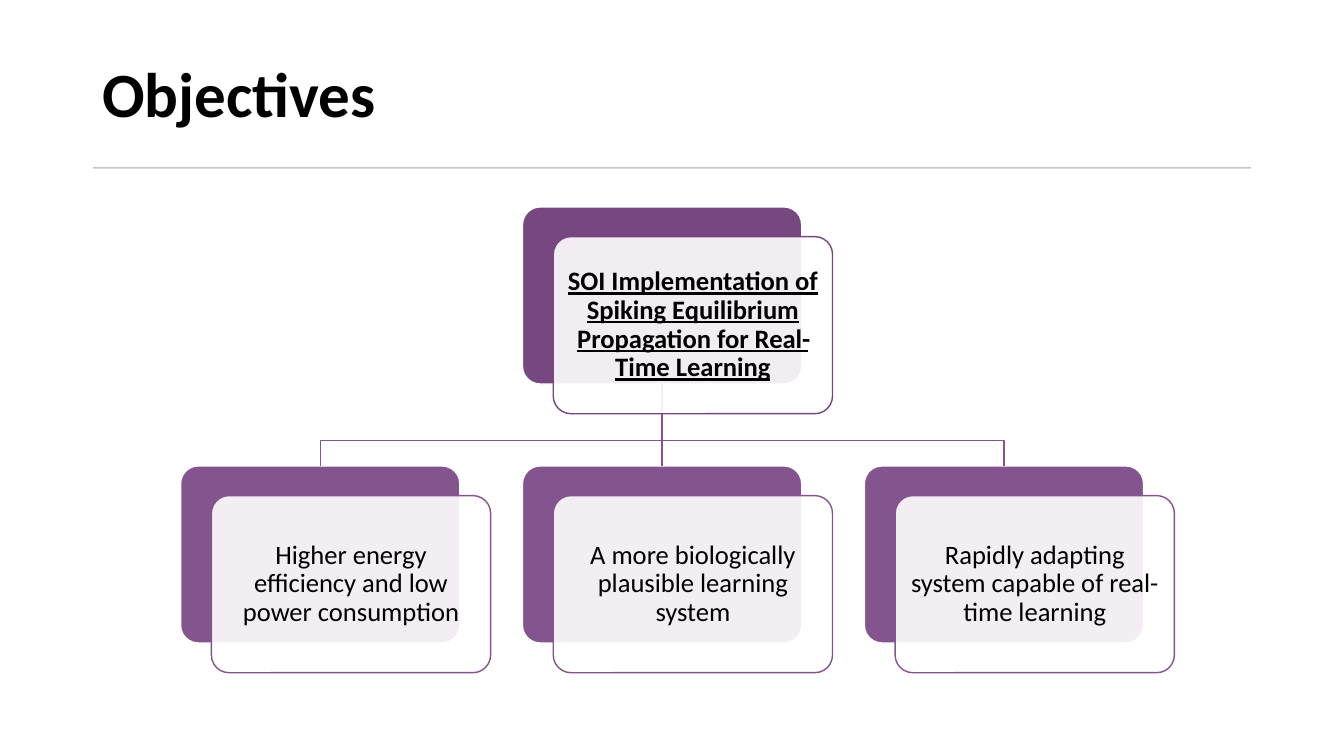
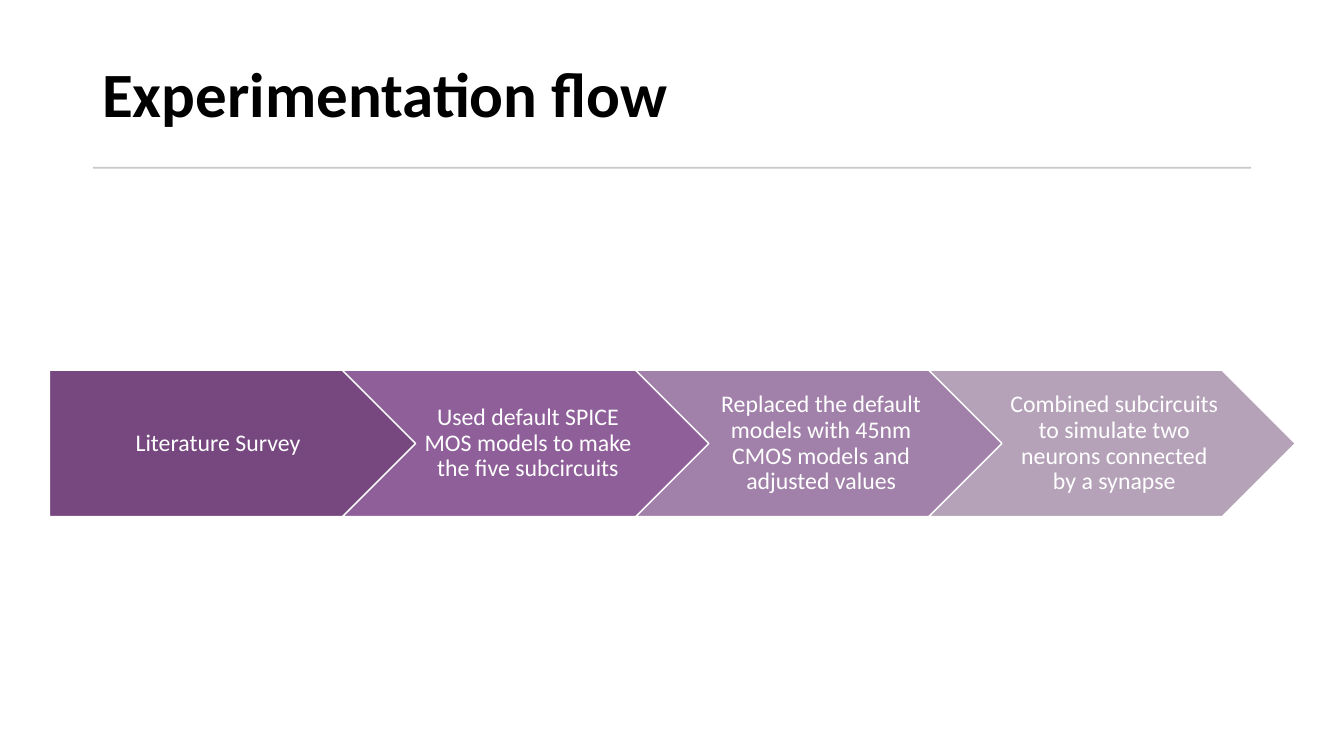
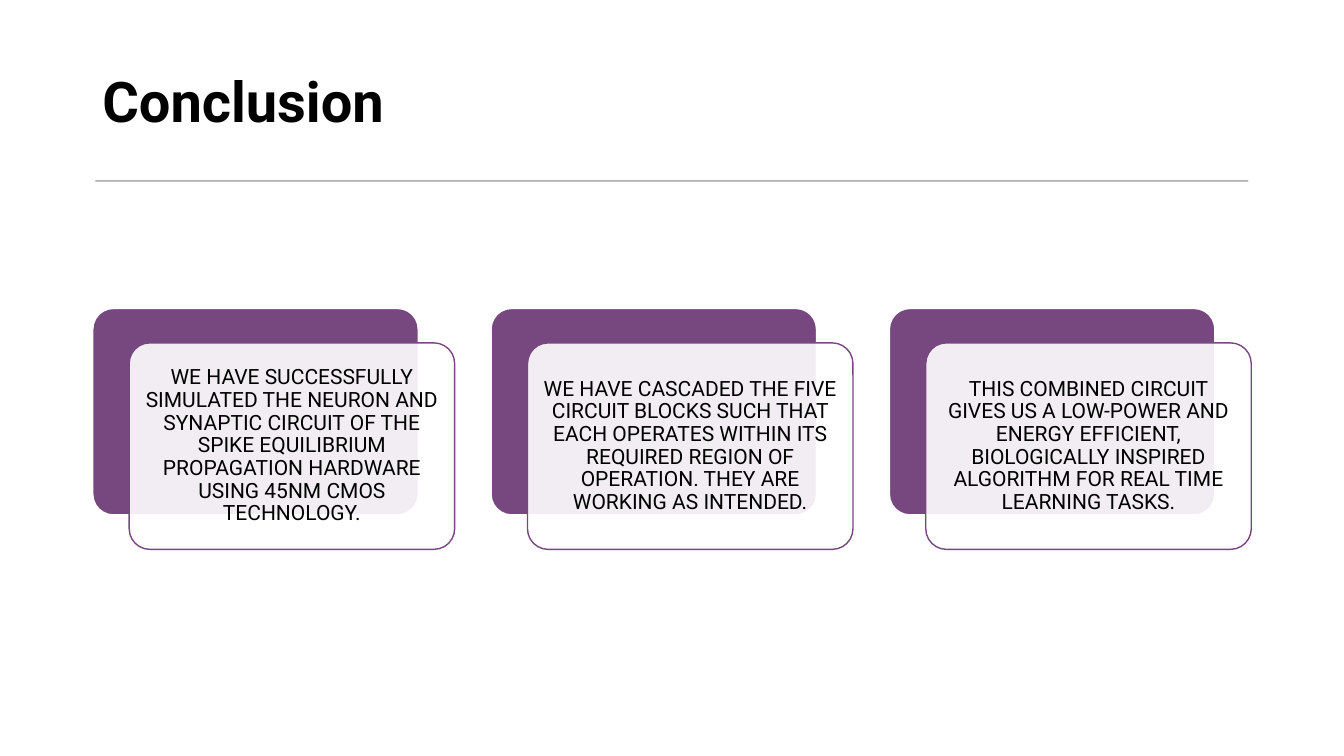
import pptx
import pptx.util
import pptx.dml.color
import pptx.enum.shapes
import pptx.enum.text
import pptx.oxml
import pptx.oxml.ns

Pt = pptx.util.Pt
RGB = pptx.dml.color.RGBColor.from_string
SHAPE = pptx.enum.shapes.MSO_SHAPE
ANCHOR = pptx.enum.text.MSO_ANCHOR
ALIGN = pptx.enum.text.PP_ALIGN


class Theme:
    white, black = "FFFFFF", "000000"
    rule, dark_rule = "C9C9C9", "595959"
    plum, violet = "76487F", "84548E"
    flow = ["76487F", "8F5F99", "A181A9", "B5A2B9"]
    main_font, closing_font = "Calibri", "Roboto"
    title, closing_title = 45, 40
    card, step, closing_card = 19, 17, 15
    outline, corner, spacing = 1, 0.1, 0.9
    card_opacity, rule_opacity = 90, 30


def draw(slide, kind, box, fill, line=None, width=Theme.outline, opacity=100, line_opacity=100):
    """Add a preset shape; box is left, top, width, height in points."""
    shape = slide.shapes.add_shape(kind, *map(Pt, box))
    shape.shadow.inherit = False
    shape.fill.solid()
    shape.fill.fore_color.rgb = RGB(fill)
    if line:
        shape.line.color.rgb = RGB(line)
        shape.line.width = Pt(width)
    else:
        shape.line.fill.background()
    if kind == SHAPE.ROUNDED_RECTANGLE:
        shape.adjustments[0] = Theme.corner
    colours = shape.element.spPr.findall(".//" + pptx.oxml.ns.qn("a:srgbClr"))
    for colour, percent in zip(colours, (opacity, line_opacity)):
        if percent < 100:
            alpha = pptx.oxml.parse_xml(f'<a:alpha {pptx.oxml.ns.nsdecls("a")} val="{percent * 1000}"/>')
            colour.append(alpha)
    return shape


def write(shape, text, font, size, colour=Theme.black, align=ALIGN.CENTER,
          anchor=ANCHOR.MIDDLE, insets=(7.2, 3.6, 7.2, 3.6), bold=False, underline=False):
    """Fill a shape with one formatted paragraph; insets are left, top, right, bottom."""
    frame = shape.text_frame
    frame.text = text
    frame.word_wrap = True
    frame.vertical_anchor = anchor
    frame.margin_left, frame.margin_top, frame.margin_right, frame.margin_bottom = map(Pt, insets)
    paragraph = frame.paragraphs[0]
    paragraph.alignment = align
    paragraph.line_spacing = Theme.spacing
    run_font = paragraph.runs[0].font
    run_font.name, run_font.size = font, Pt(size)
    run_font.bold, run_font.underline = bold, underline
    run_font.color.rgb = RGB(colour)


deck = pptx.Presentation()
deck.slide_width, deck.slide_height = Pt(960), Pt(540)
objectives, experiment, conclusion = [deck.slides.add_slide(deck.slide_layouts[6]) for _ in range(3)]

# Titles
for slide, heading, font, size, top, height, anchor in [
    (objectives, "Objectives", Theme.main_font, Theme.title, 26.5, 85, ANCHOR.MIDDLE),
    (experiment, "Experimentation flow", Theme.main_font, Theme.title, 26.5, 85, ANCHOR.MIDDLE),
    (conclusion, "Conclusion", Theme.closing_font, Theme.closing_title, 20, 80, ANCHOR.BOTTOM),
]:
    title = slide.shapes.add_textbox(Pt(66), Pt(top), Pt(827.5), Pt(height))
    write(title, heading, font, size, align=ALIGN.LEFT, anchor=anchor, bold=True)

# Rules under the titles
for slide in (objectives, experiment):
    draw(slide, SHAPE.RECTANGLE, (66.3, 119.1, 827.5, 1.4), Theme.rule)
draw(conclusion, SHAPE.RECTANGLE, (68.4, 128.9, 823, 0.7), Theme.dark_rule, Theme.dark_rule, 0.75,
     Theme.rule_opacity, Theme.rule_opacity)

# Card positions: the goal sits above the middle one of its three aims
card_w, card_h = 199.5, 126.5
aim_left, aim_pitch = 129, 244.2
goal_top, aim_top = 147.8, 332.8
closing_w, closing_h = 232.5, 147.5

goal = ("SOI Implementation of Spiking Equilibrium Propagation for Real-Time Learning",
        aim_left + aim_pitch, goal_top, Theme.plum)
aims = [(text, aim_left + i * aim_pitch, aim_top, Theme.violet) for i, text in enumerate([
    "Higher energy efficiency and low power consumption",
    "A more biologically plausible learning system",
    "Rapidly adapting system capable of real-time learning",
])]
findings = [(text, 66.3 + i * 284.5, 220.3, Theme.plum) for i, text in enumerate([
    "WE HAVE SUCCESSFULLY SIMULATED THE NEURON AND SYNAPTIC CIRCUIT OF THE SPIKE EQUILIBRIUM "
    "PROPAGATION HARDWARE USING 45NM CMOS TECHNOLOGY.",
    "WE HAVE CASCADED THE FIVE CIRCUIT BLOCKS SUCH THAT EACH OPERATES WITHIN ITS REQUIRED "
    "REGION OF OPERATION. THEY ARE WORKING AS INTENDED.",
    "THIS COMBINED CIRCUIT GIVES US A LOW-POWER AND ENERGY EFFICIENT, BIOLOGICALLY INSPIRED "
    "ALGORITHM FOR REAL TIME LEARNING TASKS.",
])]

# Coloured card backs
card_sets = [
    (objectives, [goal] + aims, card_w, card_h),
    (conclusion, findings, closing_w, closing_h),
]
backs = [
    draw(slide, SHAPE.ROUNDED_RECTANGLE, (left, top, width, height), colour, Theme.white)
    for slide, cards, width, height in card_sets
    for text, left, top, colour in cards
]
goal_back, left_back, middle_back, right_back = backs[:4]

# Branches from the goal to its aims
goal_x = goal_back.left + goal_back.width // 2
goal_bottom = goal_back.top + goal_back.height
fork_y = Pt(314.5)
for aim_back in (left_back, right_back):
    aim_x = aim_back.left + aim_back.width // 2
    outline = objectives.shapes.build_freeform(goal_x, goal_bottom)
    outline.add_line_segments([(goal_x, fork_y), (aim_x, fork_y), (aim_x, aim_back.top)], close=False)
    branch = outline.convert_to_shape()
    branch.shadow.inherit = False
    branch.fill.background()
    branch.line.color.rgb = RGB(Theme.violet)
    branch.line.width = Pt(Theme.outline)

trunk = objectives.shapes.add_connector(
    pptx.enum.shapes.MSO_CONNECTOR.STRAIGHT, goal_x, goal_bottom, goal_x, middle_back.top)
trunk.begin_connect(goal_back, 2)
trunk.end_connect(middle_back, 0)
trunk.line.color.rgb = RGB(Theme.violet)
trunk.line.width = Pt(Theme.outline)
trunk.element.spPr.append(pptx.oxml.parse_xml(f'<a:effectLst {pptx.oxml.ns.nsdecls("a")}/>'))

# Translucent card fronts with the text
front_styles = [
    (22, 21.2, Theme.main_font, Theme.card, 5.7),
    (26, 24.6, Theme.closing_font, Theme.closing_card, 4.5),
]
for (slide, cards, width, height), (shift_x, shift_y, font, size, inset) in zip(card_sets, front_styles):
    for card in cards:
        text, left, top, colour = card
        front = draw(slide, SHAPE.ROUNDED_RECTANGLE, (left + shift_x, top + shift_y, width, height),
                     Theme.white, colour, opacity=Theme.card_opacity)
        write(front, text, font, size, insets=[inset] * 4, bold=card is goal, underline=card is goal)

# Experiment steps
steps = [
    "Literature Survey",
    "Used default SPICE MOS models to make the five subcircuits",
    "Replaced the default models with 45nm CMOS models and adjusted values",
    "Combined subcircuits to simulate two neurons connected by a synapse",
]
for i, (text, colour) in enumerate(zip(steps, Theme.flow)):
    kind, inset = (SHAPE.CHEVRON, 5) if i else (SHAPE.PENTAGON, 7.2)
    step = draw(experiment, kind, (35.3 + i * 209.4, 264.5, 261.8, 104.5), colour, Theme.white)
    write(step, text, Theme.main_font, Theme.step, Theme.white, insets=(inset, 3.6, 1.8, 3.6))

deck.save("out.pptx")
